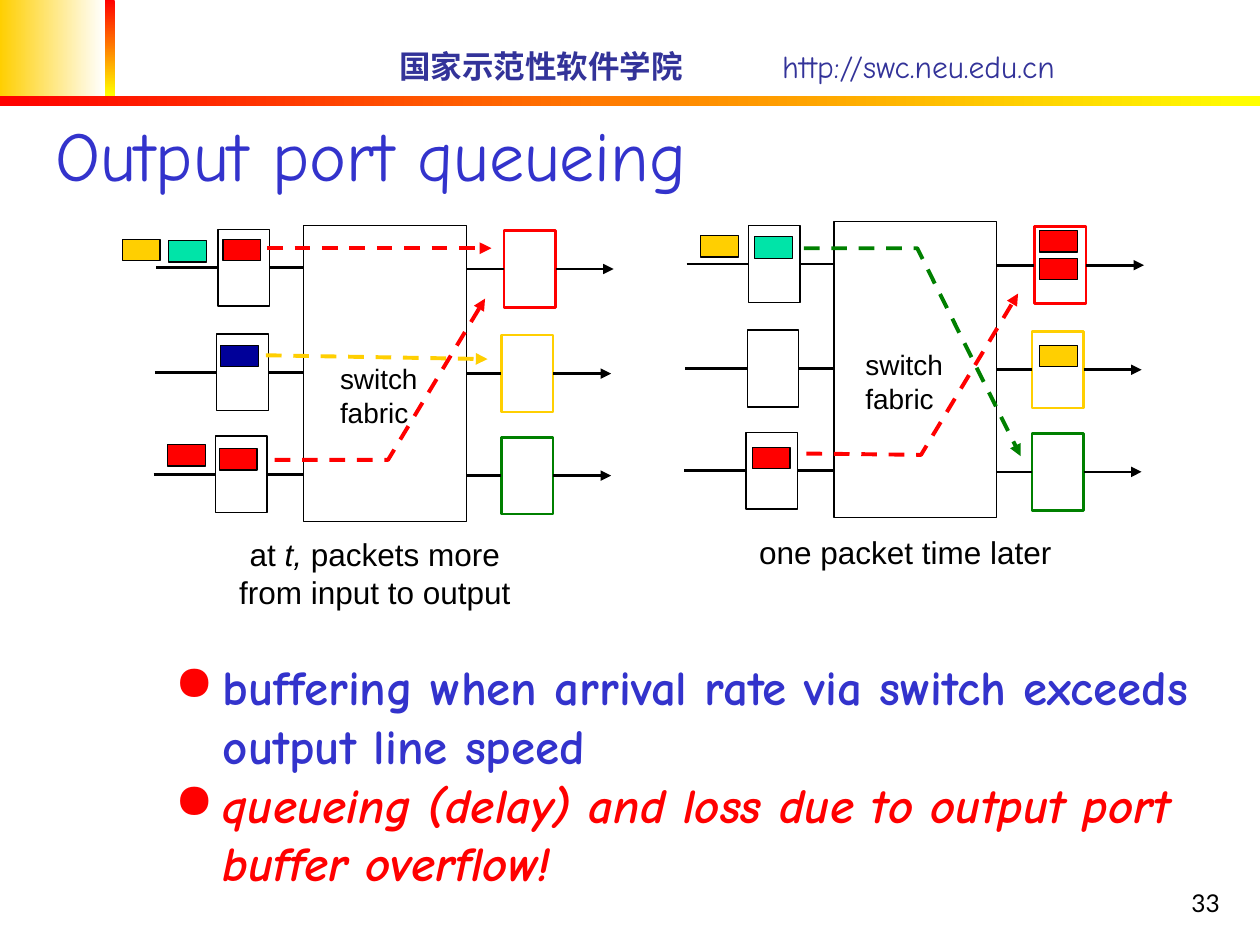
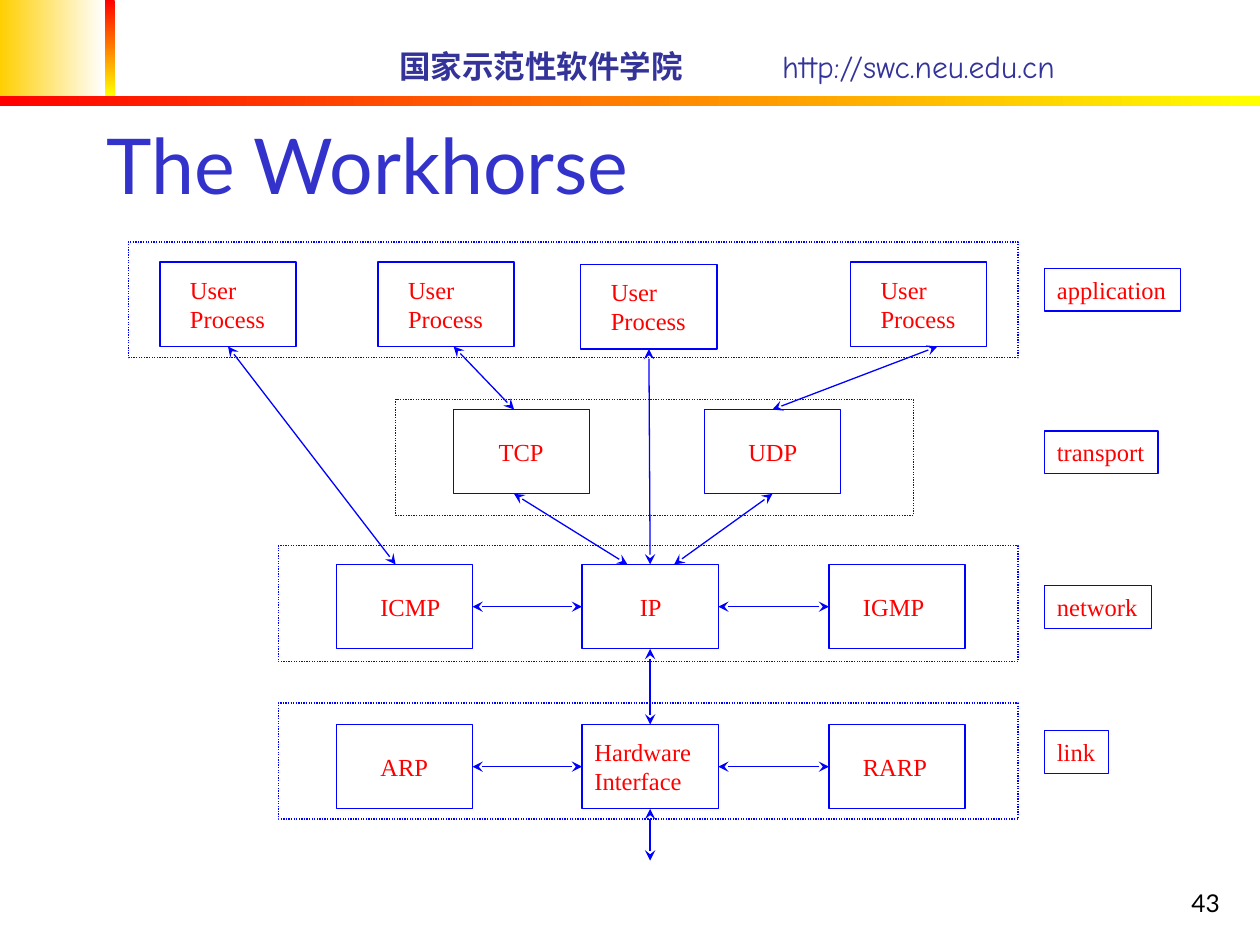
"""Build two networking slides: output port queueing and the protocol stack."""
from dataclasses import dataclass

from lxml.etree import SubElement
from pptx import Presentation
from pptx.dml.color import RGBColor as RGB
from pptx.enum.dml import MSO_LINE as Dash
from pptx.enum.shapes import MSO_CONNECTOR as Conn, MSO_SHAPE as Geo
from pptx.enum.text import MSO_ANCHOR as Anchor, PP_ALIGN as Align
from pptx.oxml.ns import qn
from pptx.util import Inches, Pt

TOP, LEFT, BOTTOM, RIGHT = range(4)


@dataclass(frozen=True)
class Theme:
    black: str = "000000"
    white: str = "FFFFFF"
    red: str = "FF0000"
    gold: str = "FFCF01"
    yellow: str = "FFFF00"
    green: str = "008000"
    mint: str = "00E4A8"
    navy: str = "000099"
    blue: str = "0000FF"
    title: str = "3333CC"
    brand: str = "333399"
    comic: str = "Comic Neue"
    lato: str = "Lato"
    sans: str = "Arial"
    serif: str = "Times New Roman"
    huge: int = 44
    large: int = 40
    body: int = 28
    note: int = 18
    label: int = 16
    small: int = 14
    thin: float = 0.75
    mid: float = 1.5
    thick: float = 2.25


class Deck:
    def __init__(self, theme):
        self.theme = theme
        self.prs = Presentation()
        self.prs.slide_width, self.prs.slide_height = Inches(10), Inches(7.5)
        self.slide = None

    def page(self, number):
        t = self.theme
        self.slide = self.prs.slides.add_slide(self.prs.slide_layouts[6])
        self.band(0, 0, 0.83, 0.76, t.gold, t.white, 0)
        self.band(0.83, 0, 0.08, 0.76, t.red, t.yellow, 270)
        self.band(0, 0.76, 10, 0.08, t.red, t.yellow, 0)
        self.text(3.07, 0.32, 3, 0.4, ["国家示范性软件学院"], t.note, t.comic,
                  t.brand, bold=True, anchor=Anchor.MIDDLE)
        self.text(6.11, 0.32, 3.89, 0.4, ["http://swc.neu.edu.cn"], t.note,
                  t.comic, t.brand, anchor=Anchor.MIDDLE)
        self.text(7.7, 6.83, 2.08, 0.5, [number], t.small, t.lato, t.black,
                  align=Align.RIGHT, anchor=Anchor.BOTTOM)

    def rect(self, x, y, w, h):
        shape = self.slide.shapes.add_shape(
            Geo.RECTANGLE, Inches(x), Inches(y), Inches(w), Inches(h))
        shape.shadow.inherit = False
        return shape

    def band(self, x, y, w, h, first, last, angle):
        shape = self.rect(x, y, w, h)
        shape.line.fill.background()
        shape.fill.gradient()
        shape.fill.gradient_angle = angle
        for stop, color in zip(shape.fill.gradient_stops, (first, last)):
            stop.color.rgb = RGB.from_string(color)

    def box(self, x, y, w, h, line, fill=None, width=None, dash=None):
        shape = self.rect(x, y, w, h)
        if fill:
            shape.fill.solid()
            shape.fill.fore_color.rgb = RGB.from_string(fill)
        else:
            shape.fill.background()
        self.stroke(shape, line, width or self.theme.thin, dash)
        return shape

    def stroke(self, shape, color, width, dash=None, head=None, tail=None):
        shape.line.color.rgb = RGB.from_string(color)
        shape.line.width = Pt(width)
        if dash:
            shape.line.dash_style = dash
        ln = shape.element.spPr.find(qn("a:ln"))
        for tag, kind in (("a:headEnd", head), ("a:tailEnd", tail)):
            if kind:
                SubElement(ln, qn(tag), type=kind)

    def font(self, para, size, face, color, bold=False, slant=False):
        font = para.font
        font.size, font.name = Pt(size), face
        font.bold, font.italic = bold, slant
        font.color.rgb = RGB.from_string(color)

    def fill(self, frame, lines, size, face, color, bold=False,
             align=Align.LEFT, anchor=Anchor.TOP, wrap=True):
        frame.word_wrap, frame.vertical_anchor = wrap, anchor
        for i, line in enumerate(lines):
            para = frame.add_paragraph() if i else frame.paragraphs[0]
            para.alignment = align
            self.font(para, size, face, color, bold)
            for j, part in enumerate(line.split("*")):
                run = para.add_run()
                run.text = part
                if j % 2:
                    run.font.italic = True

    def text(self, x, y, w, h, lines, *args, **kw):
        area = self.slide.shapes.add_textbox(
            Inches(x), Inches(y), Inches(w), Inches(h))
        self.fill(area.text_frame, lines, *args, **kw)

    def points(self, x, y, w, h, items):
        t = self.theme
        frame = self.slide.shapes.add_textbox(
            Inches(x), Inches(y), Inches(w), Inches(h)).text_frame
        frame.word_wrap = True
        for i, (words, color, slant) in enumerate(items):
            para = frame.add_paragraph() if i else frame.paragraphs[0]
            props = para._p.get_or_add_pPr()
            props.set("marL", str(Inches(0.38)))
            props.set("indent", str(-Inches(0.38)))
            SubElement(SubElement(props, qn("a:buClr")), qn("a:srgbClr"), val=t.red)
            SubElement(props, qn("a:buChar"), char="●")
            self.font(para, t.body, t.comic, color, True, slant)
            para.add_run().text = words

    def link(self, start, end, color, width, **kw):
        ends = [e if isinstance(e[0], (int, float)) else None for e in (start, end)]
        spots = [Inches(v) for e in ends for v in (e or (0, 0))]
        line = self.slide.shapes.add_connector(Conn.STRAIGHT, *spots)
        if not ends[0]:
            line.begin_connect(*start)
        if not ends[1]:
            line.end_connect(*end)
        self.stroke(line, color, width, **kw)
        SubElement(line.element.spPr, qn("a:effectLst"))

    def route(self, spots, color):
        first, *rest = [(Inches(x), Inches(y)) for x, y in spots]
        pen = self.slide.shapes.build_freeform(*first)
        pen.add_line_segments(rest, close=False)
        shape = pen.convert_to_shape()
        shape.shadow.inherit = False
        shape.fill.background()
        self.stroke(shape, color, self.theme.thick, Dash.DASH, tail="triangle")

    def packet(self, x, y, color):
        self.box(x, y, 0.3, 0.17, self.theme.black, color)

    def switch(self, dx, dy):
        t = self.theme
        wide, tall = 0.41, 0.61
        left, right = 2.41 + dx, 3.7 + dx
        self.box(left, 1.79 + dy, 1.29, 2.35, t.black, t.white)
        rows = ((1.73, 4, 1.82, t.red), (1.72, 3.98, 2.65, t.gold),
                (1.71, 3.98, 3.46, t.green))
        for near, far, y, color in rows:
            near, far, y = near + dx, far + dx, y + dy
            port = self.box(near, y, wide, tall, t.black, t.white)
            out = self.box(far, y + 0.01, wide, tall, color, t.white, t.mid)
            level = y + tall / 2
            self.link((near - 0.49, level), (port, LEFT), t.black, t.mid)
            self.link((port, RIGHT), (left, level), t.black, t.mid)
            level += 0.01
            self.link((right, level), (out, LEFT), t.black, t.mid)
            self.link((out, RIGHT), (far + 0.87, level), t.black, t.mid,
                      tail="triangle")

    def node(self, x, y, lines, shift, width):
        t = self.theme
        shape = self.box(x, y, 1.08, 0.67, t.blue)
        drop, high = (0.05, 0.57) if len(lines) > 1 else (0.17, 0.33)
        self.text(x + shift, y + drop, width, high, lines, t.small, t.serif,
                  t.red, wrap=False)
        return shape

    def tag(self, y, width, word):
        t = self.theme
        shape = self.box(8.29, y, width, 0.34, t.blue)
        self.fill(shape.text_frame, [word], t.small, t.serif, t.red, wrap=False)


def queues(deck):
    t = deck.theme
    deck.page("33")
    deck.text(0.34, 0, 8.52, 1.6, ["Output port queueing"], t.large, t.comic,
              t.title, anchor=Anchor.BOTTOM)
    deck.points(1.29, 5.16, 8.5, 1.11, [
        ("buffering when arrival rate via switch exceeds output line speed",
         t.title, False),
        ("queueing (delay) and loss due to output port buffer overflow!",
         t.red, True)])
    deck.switch(0, 0)
    deck.switch(4.21, -0.03)
    for x, y in ((2.6, 2.82), (6.77, 2.71)):
        deck.text(x, y, 0.82, 0.64, ["switch", "fabric"], t.label, t.sans,
                  t.black, wrap=False)
    deck.text(1.63, 4.2, 2.69, 0.7,
              ["at *t,* packets more", "from input to output"],
              t.note, t.sans, t.black, align=Align.CENTER)
    deck.text(5.84, 4.18, 2.69, 0.4, ["one packet time later"],
              t.note, t.sans, t.black, align=Align.CENTER)
    for x, y, color in (
            (1.77, 1.9, t.red), (1.75, 2.74, t.navy), (1.74, 3.56, t.red),
            (1.34, 1.91, t.mint), (1.33, 3.53, t.red), (0.97, 1.9, t.gold),
            (8.25, 1.83, t.red), (8.25, 2.05, t.red), (8.25, 2.74, t.gold),
            (5.99, 1.88, t.mint), (5.97, 3.55, t.red), (5.56, 1.87, t.gold)):
        deck.packet(x, y, color)
    for start, end, color in (((2.12, 1.97), (3.9, 1.97), t.red),
                              ((2.11, 2.82), (3.87, 2.85), t.gold)):
        deck.link(start, end, color, t.thick, dash=Dash.DASH, tail="triangle")
    deck.route([(2.18, 3.65), (3.08, 3.65), (3.85, 2.37)], t.red)
    deck.route([(6.4, 3.6), (7.31, 3.61), (8.08, 2.33)], t.red)
    deck.route([(6.38, 1.97), (7.28, 1.97), (8.1, 3.62)], t.green)


def stack(deck):
    t = deck.theme
    deck.page("43")
    deck.text(0.75, 0.67, 8.5, 1.25, ["The Workhorse"], t.huge, t.lato, t.title,
              anchor=Anchor.MIDDLE)
    for x, y, w in ((1.02, 1.92, 7.06), (3.14, 3.17, 4.11),
                    (2.21, 4.33, 5.87), (2.21, 5.58, 5.87)):
        deck.box(x, y, w, 0.92, t.blue, dash=Dash.ROUND_DOT)
    users = [deck.node(x, y, ["User", "Process"], 0.14, 0.8)
             for x, y in ((1.27, 2.08), (3, 2.08), (4.61, 2.1), (6.75, 2.08))]
    deck.node(3.6, 3.25, ["TCP"], 0.26, 0.56)
    udp = deck.node(5.59, 3.25, ["UDP"], 0.25, 0.59)
    icmp = deck.node(2.67, 4.48, ["ICMP"], 0.25, 0.68)
    ip = deck.node(4.62, 4.48, ["IP"], 0.36, 0.37)
    igmp = deck.node(6.58, 4.48, ["IGMP"], 0.17, 0.69)
    arp = deck.node(2.67, 5.75, ["ARP"], 0.25, 0.58)
    card = deck.node(4.62, 5.75, ["Hardware", "Interface"], 0, 0.97)
    rarp = deck.node(6.58, 5.75, ["RARP"], 0.17, 0.71)
    for start, end in (
            ((icmp, RIGHT), (ip, LEFT)), ((ip, RIGHT), (igmp, LEFT)),
            ((arp, RIGHT), (card, LEFT)), ((card, RIGHT), (rarp, LEFT)),
            ((card, TOP), (ip, BOTTOM)), ((5.16, 6.83), (card, BOTTOM)),
            ((users[0], BOTTOM), (3.14, 4.48)), ((3.6, 2.75), (4.08, 3.25)),
            ((users[2], BOTTOM), (ip, TOP)), ((7.44, 2.75), (udp, TOP)),
            ((4.08, 3.92), (4.98, 4.48)), ((udp, BOTTOM), (5.35, 4.48))):
        deck.link(start, end, t.blue, t.thin, head="stealth", tail="stealth")
    for y, width, word in ((2.13, 1.08, "application"), (3.42, 0.9, "transport"),
                           (4.65, 0.85, "network"), (5.8, 0.51, "link")):
        deck.tag(y, width, word)


def main():
    deck = Deck(Theme())
    queues(deck)
    stack(deck)
    deck.prs.save("out.pptx")


if __name__ == "__main__":
    main()
